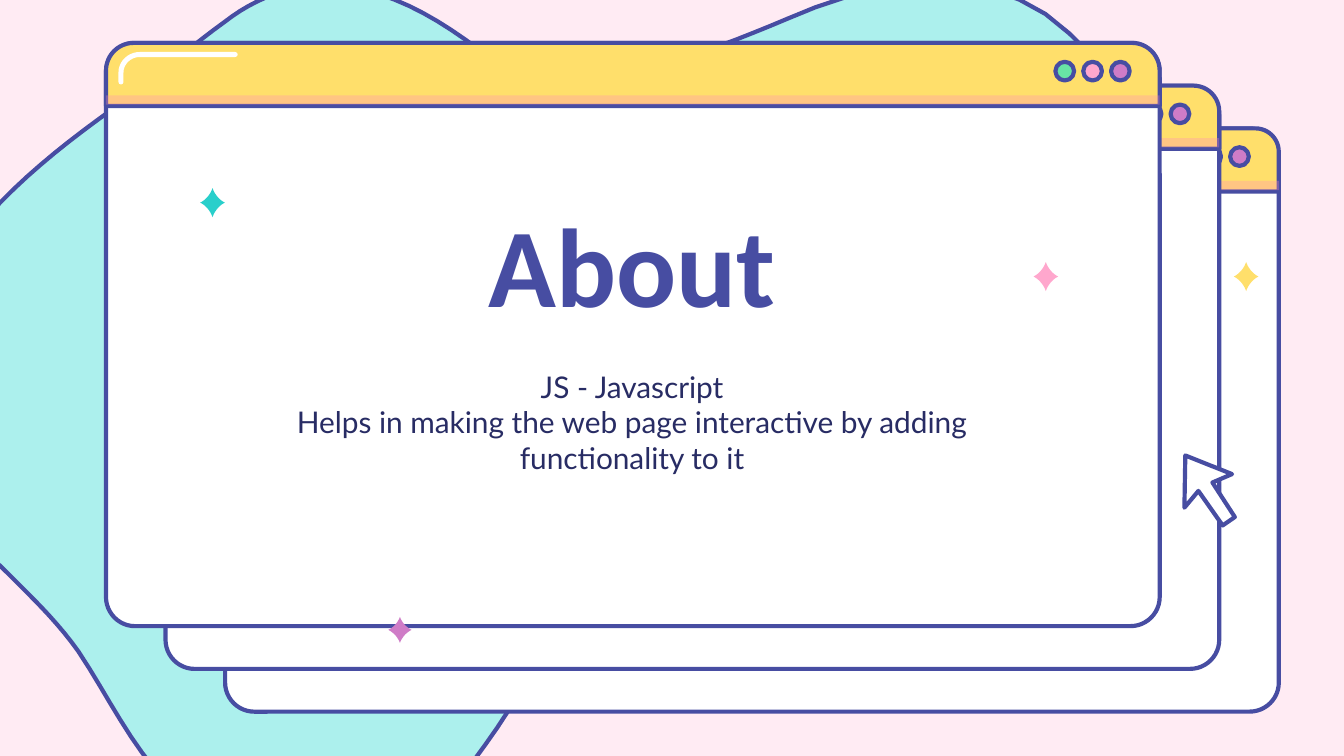
from dataclasses import dataclass
from typing import Any

from lxml import etree
from pptx import Presentation
from pptx.dml.color import RGBColor
from pptx.enum.shapes import MSO_SHAPE
from pptx.enum.text import MSO_ANCHOR, PP_ALIGN
from pptx.oxml.ns import qn
from pptx.util import Pt

PANEL = MSO_SHAPE.ROUNDED_RECTANGLE
BAR = MSO_SHAPE.ROUND_2_SAME_RECTANGLE
RECT = MSO_SHAPE.RECTANGLE
OVAL = MSO_SHAPE.OVAL
TOP, MIDDLE = MSO_ANCHOR.TOP, MSO_ANCHOR.MIDDLE
CENTER = PP_ALIGN.CENTER

Point = tuple[float, float]


@dataclass(frozen=True)
class Theme:
    back: str = "FFEBF3"
    aqua: str = "ACF0ED"
    ink: str = "474DA2"
    text: str = "282C64"
    white: str = "FFFFFF"
    gold: str = "FFDF6B"
    rose: str = "FF89BC"
    pink: str = "FFA7CD"
    plum: str = "CF7CC7"
    green: str = "68E4A5"
    teal: str = "29CFCB"
    head: str = "Calibri"
    body: str = "Lato"
    big: int = 60
    small: int = 16
    line: float = 2.25
    shine: float = 2.7


@dataclass(frozen=True)
class Window:
    step: int
    curve: float
    dots: tuple[str, ...]


@dataclass(frozen=True)
class Star:
    left: float
    top: float
    width: float
    height: float
    color: str


@dataclass(frozen=True)
class Label:
    top: float
    height: float
    lines: tuple[str, ...]
    font: str
    size: int
    color: str
    bold: bool
    anchor: Any


T = Theme()
WIDE, HIGH = 564.5, 312.5
BAR_HIGH = 33.8
DOT, DOT_GAP, DOT_END = 10, 14.9, 543.4

WINDOWS = (
    Window(2, 0.37, (T.pink, T.plum)),
    Window(1, 0.41, (T.pink, T.plum)),
    Window(0, 0.44, (T.green, T.pink, T.plum)),
)
STARS = (
    Star(208, 330.5, 12.5, 14, T.plum),
    Star(661, 140.4, 13.2, 15.6, T.gold),
    Star(107.3, 100.8, 13.2, 15.6, T.teal),
    Star(553.7, 140.4, 13.2, 15.6, T.pink),
)
LABELS = (
    Label(103.7, 74.2, ("About",), T.head, T.big, T.ink, True, MIDDLE),
    Label(190.1, 92.9, (
        "JS - Javascript",
        "Helps in making the web page interactive by adding functionality to it",
    ), T.body, T.small, T.text, False, TOP),
)
BLOB = (
    (608, 72),
    (622, 109), (623, 153), (611, 190), (601, 223), (579, 250), (554, 274),
    (526, 300), (492, 321), (454, 325), (434, 328), (415, 325), (395, 322),
    (376, 318), (356, 315), (336, 320), (298, 330), (282, 369), (260, 399),
    (243, 424), (217, 444), (186, 450), (158, 456), (129, 449), (106, 433),
    (76, 413), (62, 379), (42, 349), (30, 332), (15, 318), (0, 303),
    (-14, 291), (-29, 278), (-40, 262), (-44, 256), (-47, 250), (-50, 243),
    (-66, 198), (-38, 150), (-6, 115), (16, 91), (41, 72), (68, 53),
    (85, 40), (102, 25), (120, 12), (134, 1), (150, -6), (169, -8),
    (199, -9), (225, 4), (249, 21), (256, 26), (264, 32), (271, 37),
    (274, 37), (276, 38), (279, 39), (295, 40), (312, 40), (328, 39),
    (361, 35), (391, 23), (422, 10), (469, -11), (532, -22), (573, 18),
    (588, 32), (600, 51), (608, 72),
)
SPARK = (
    (0.5, 0), (0.58, 0.22), (0.8, 0.42), (1, 0.5),
    (0.8, 0.58), (0.58, 0.78), (0.5, 1),
    (0.42, 0.78), (0.2, 0.58), (0, 0.5),
    (0.2, 0.42), (0.42, 0.22), (0.5, 0),
)
SHINE = ((64.8, 38.9), (64.8, 33.5), (69.5, 29.2), (74.9, 29.2))
SHINE_ENDS = ((64.8, 43.9), (126, 29.2))
ARROW = (
    (635, 244), (634.5, 272), (642, 263), (655, 281.5),
    (661.5, 277), (649.5, 258.5), (660, 254),
)


def rgb(color: str) -> RGBColor:
    return RGBColor.from_string(color)


def paint(shape: Any, fill: str | None, line: str | None = None,
          width: float = T.line) -> Any:
    shape.shadow.inherit = False
    if fill:
        shape.fill.solid()
        shape.fill.fore_color.rgb = rgb(fill)
    else:
        shape.fill.background()
    if line:
        shape.line.color.rgb = rgb(line)
        shape.line.width = Pt(width)
        edge = shape.element.spPr.find(qn("a:ln"))
        edge.set("cap", "rnd")
        etree.SubElement(edge, qn("a:round"))
    else:
        shape.line.fill.background()
    return shape


def block(shapes: Any, kind: Any, left: float, top: float,
          width: float, height: float) -> Any:
    return shapes.add_shape(kind, Pt(left), Pt(top), Pt(width), Pt(height))


def bend(nodes: tuple[Point, ...], count: int = 10) -> list[Point]:
    points = [nodes[0]]
    for start in range(0, len(nodes) - 1, 3):
        ends = nodes[start:start + 4]
        for i in range(1, count + 1):
            t = i / count
            s = 1 - t
            parts = (s**3, 3 * s * s * t, 3 * s * t * t, t**3)
            points.append((
                sum(k * x for k, (x, _) in zip(parts, ends)),
                sum(k * y for k, (_, y) in zip(parts, ends)),
            ))
    return points


def trace(shapes: Any, points: list[Point], close: bool = True) -> Any:
    spots = [(Pt(x), Pt(y)) for x, y in points]
    form = shapes.build_freeform(*spots[0], scale=1.0)
    form.add_line_segments(spots[1:], close=close)
    return form.convert_to_shape()


def draw_window(shapes: Any, item: Window) -> None:
    left, top = 56.8 + 31.9 * item.step, 23 + 22.9 * item.step
    panel = block(shapes, PANEL, left, top, WIDE, HIGH)
    panel.adjustments[0] = 0.05
    paint(panel, T.white, T.ink)
    bar = block(shapes, BAR, left, top, WIDE, BAR_HIGH)
    bar.adjustments[0] = item.curve
    paint(bar, T.gold, T.ink)
    strip = paint(block(shapes, RECT, left, top + 28.1, WIDE, 5), T.rose)
    tint = strip.element.spPr.find(qn("a:solidFill"))[0]
    etree.SubElement(tint, qn("a:alpha"), val="30000")
    first = left + DOT_END - DOT_GAP * (len(item.dots) - 1)
    for i, color in enumerate(item.dots):
        x = first + i * DOT_GAP - DOT / 2
        paint(block(shapes, OVAL, x, top + 10.1, DOT, DOT), color, T.ink)


def draw_star(shapes: Any, star: Star) -> None:
    points = [(star.left + x * star.width, star.top + y * star.height)
              for x, y in bend(SPARK)]
    paint(trace(shapes, points), star.color)


def draw_label(shapes: Any, label: Label) -> None:
    box = shapes.add_textbox(Pt(138.2), Pt(label.top), Pt(401), Pt(label.height))
    frame = box.text_frame
    frame.word_wrap = True
    frame.vertical_anchor = label.anchor
    frame.margin_left = frame.margin_right = Pt(7.2)
    frame.margin_top = frame.margin_bottom = Pt(7.2)
    frame.text = "\n".join(label.lines)
    for para in frame.paragraphs:
        para.alignment = CENTER
        font = para.font
        font.name, font.size, font.bold = label.font, Pt(label.size), label.bold
        font.color.rgb = rgb(label.color)


def main() -> None:
    deck = Presentation()
    deck.slide_width, deck.slide_height = Pt(720), Pt(405)
    slide = deck.slides.add_slide(deck.slide_layouts[6])
    back = slide.background.fill
    back.solid()
    back.fore_color.rgb = rgb(T.back)
    shapes = slide.shapes
    paint(trace(shapes, bend(BLOB)), T.aqua, T.ink)
    for item in WINDOWS:
        draw_window(shapes.add_group_shape().shapes, item)
    start, end = SHINE_ENDS
    shine = trace(shapes, [start, *bend(SHINE), end], close=False)
    paint(shine, None, T.white, T.shine)
    for label in LABELS:
        draw_label(shapes, label)
    paint(trace(shapes, list(ARROW)), T.white, T.ink)
    for star in STARS:
        draw_star(shapes, star)
    deck.save("out.pptx")


if __name__ == "__main__":
    main()
